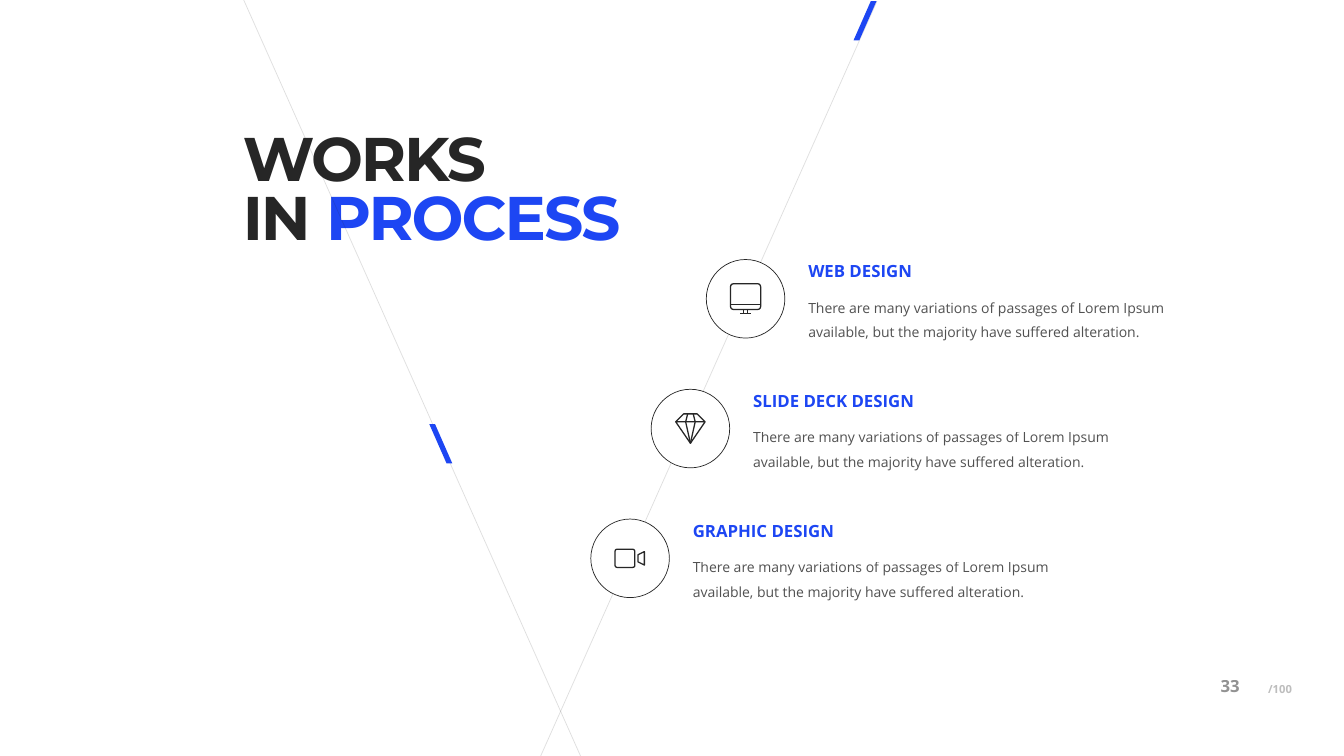
from lxml.etree import SubElement as Sub
from pptx import Presentation
from pptx.dml.color import RGBColor as RGB
from pptx.enum.shapes import MSO_CONNECTOR as Conn, MSO_SHAPE as Form
from pptx.enum.text import MSO_ANCHOR as Anchor, MSO_AUTO_SIZE as Auto, PP_ALIGN as Align
from pptx.oxml.ns import qn
from pptx.util import Cm, Pt

HUE = {"ink": "262626", "blue": "1D46F3", "white": "FFFFFF"}
RGBS = {name: RGB.from_string(code) for name, code in HUE.items()}


def fade(node, share):
    for tint in node.iter(qn("a:srgbClr")):
        Sub(tint, qn("a:alpha"), val=str(share * 1000))


def write(place, text, look, hue="ink", share=100, pad=0, wrap=True, para={}):
    box = slide.shapes.add_textbox(*[Cm(n) for n in place])
    frame = box.text_frame
    frame.margin_left = frame.margin_right = 0
    frame.margin_top = frame.margin_bottom = Cm(pad)
    frame.word_wrap = wrap
    line = frame.paragraphs[0]
    for key, value in para.items():
        setattr(line, key, value)
    run = line.add_run()
    run.text = text
    for key, value in look.items():
        setattr(run.font, key, value)
    run.font.color.rgb = RGBS[hue]
    if share < 100:
        fade(run._r, share)
    return frame


deck = Presentation()
deck.slide_width, deck.slide_height = Cm(33.87), Cm(19.05)
slide = deck.slides.add_slide(deck.slide_layouts[5])
shapes = slide.shapes

for ends in [(22.1, 0.03, 13.59, 19.13), (6.12, -0.05, 14.63, 19.05)]:
    rule = shapes.add_connector(Conn.STRAIGHT, *[Cm(n) for n in ends])
    rule.line.width = Pt(0.5)
    rule.line.color.rgb = RGBS["ink"]
    fade(rule._element.spPr, 15)
    Sub(rule._element.spPr, qn("a:effectLst"))

for left, top, flip in [(21.51, 0.03, "0"), (10.82, 10.69, "1")]:
    slash = shapes.add_shape(Form.PARALLELOGRAM, Cm(left), Cm(top), Cm(0.58), Cm(0.99))
    slash.adjustments[0] = 0.75
    slash.shadow.inherit = False
    slash.fill.solid()
    slash.fill.fore_color.rgb = RGBS["blue"]
    slash.line.fill.background()
    slash._element.spPr.xfrm.set("flipV", flip)

title = shapes.title
title.left, title.top, title.width, title.height = Cm(6.12), Cm(2.84), Cm(15.98), Cm(4.14)
frame = title.text_frame
FIT = {"margin_left": 0, "margin_right": 0, "margin_top": Cm(0.53), "margin_bottom": 0,
       "vertical_anchor": Anchor.TOP, "auto_size": Auto.NONE, "word_wrap": True}
for key, value in FIT.items():
    setattr(frame, key, value)
head = frame.paragraphs[0]
head.alignment = Align.LEFT
head.line_spacing = 0.8
BIG = {"name": "Montserrat", "size": Pt(44), "bold": True}
for text, hue in [("WORKS", "ink"), ("IN ", "ink"), ("PROCESS", "blue")]:
    run = head.add_run()
    run.text = text
    for key, value in BIG.items():
        setattr(run.font, key, value)
    run.font.color.rgb = RGBS[hue]
    run._r.get_or_add_rPr().set("spc", "-150")
    if text == "WORKS":
        head.add_line_break()

BOLD = {"name": "Open Sans", "size": Pt(12), "bold": True}
BODY = {"name": "Open Sans", "size": Pt(10)}
TINY = {"name": "Open Sans", "size": Pt(8), "bold": True}
COPY = ("There are many variations of passages of Lorem Ipsum available, "
        "but the majority have suffered alteration.")

SCREEN = [[(-38, 15), (38, 15)], [(-5, 27), (-5, 37)], [(5, 27), (5, 37)], [(-14, 37), (14, 37)]]
GEM = [[(-37, -17), (-17, -37), (17, -37), (37, -17), (0, 37), (-37, -17), (37, -17)],
       [(-7, -37), (-12, -17), (0, 37)], [(7, -37), (12, -17), (0, 37)]]
LENS = [[(20, -9), (36, -17), (36, 17), (20, 9), (20, -9)]]
STEPS = [
    ("WEB DESIGN", 18.79, SCREEN, (-0.38, -0.38, 0.76, 0.65)),
    ("SLIDE DECK DESIGN", 17.4, GEM, None),
    ("GRAPHIC DESIGN", 15.88, LENS, (-0.38, -0.23, 0.5, 0.46)),
]

for row, (name, mid, paths, case) in enumerate(STEPS):
    level = 7.53 + 3.27 * row
    left = mid + 1.58
    write((left, level - 1.08, 4.6, 0.76), name, BOLD, "blue", pad=0.13, wrap=False)
    write((left, level - 0.31, 9.22, 1.4), COPY, BODY, share=80, pad=0.13,
          para={"line_spacing": 1.45})

    ring = shapes.add_shape(Form.OVAL, Cm(mid - 0.99), Cm(level - 0.99), Cm(1.98), Cm(1.98))
    ring.fill.solid()
    ring.fill.fore_color.rgb = RGBS["white"]
    parts = [(ring, 0.5)]

    pen = shapes.build_freeform(*paths[0][0], scale=3600)
    for path in paths:
        pen.move_to(*path[0])
        pen.add_line_segments(path[1:], close=False)
    icon = pen.convert_to_shape(Cm(mid), Cm(level))
    icon.fill.background()
    parts.append((icon, 0.9))

    if case:
        dx, dy, width, height = case
        panel = shapes.add_shape(Form.ROUNDED_RECTANGLE, Cm(mid + dx), Cm(level + dy),
                                 Cm(width), Cm(height))
        panel.adjustments[0] = 0.12
        panel.fill.background()
        parts.append((panel, 0.9))

    for part, weight in parts:
        part.shadow.inherit = False
        part.line.color.rgb = RGBS["ink"]
        part.line.width = Pt(weight)

count = write((30.76, 16.97, 1.42, 0.64), "33", BOLD, share=50)
total = write((31.14, 17.04, 1.42, 0.64), "/100", TINY, share=30,
              para={"alignment": Align.RIGHT})
for note in (count, total):
    note.vertical_anchor = Anchor.MIDDLE

deck.save("out.pptx")
